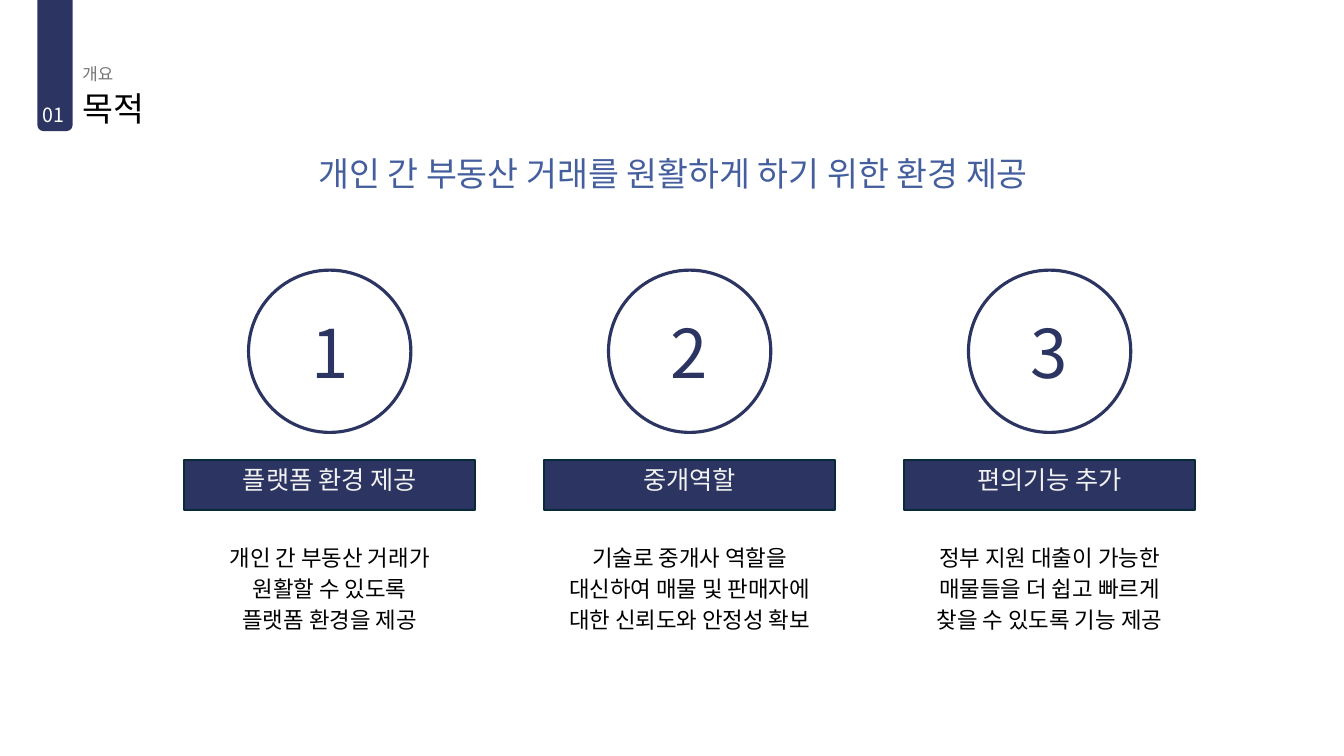
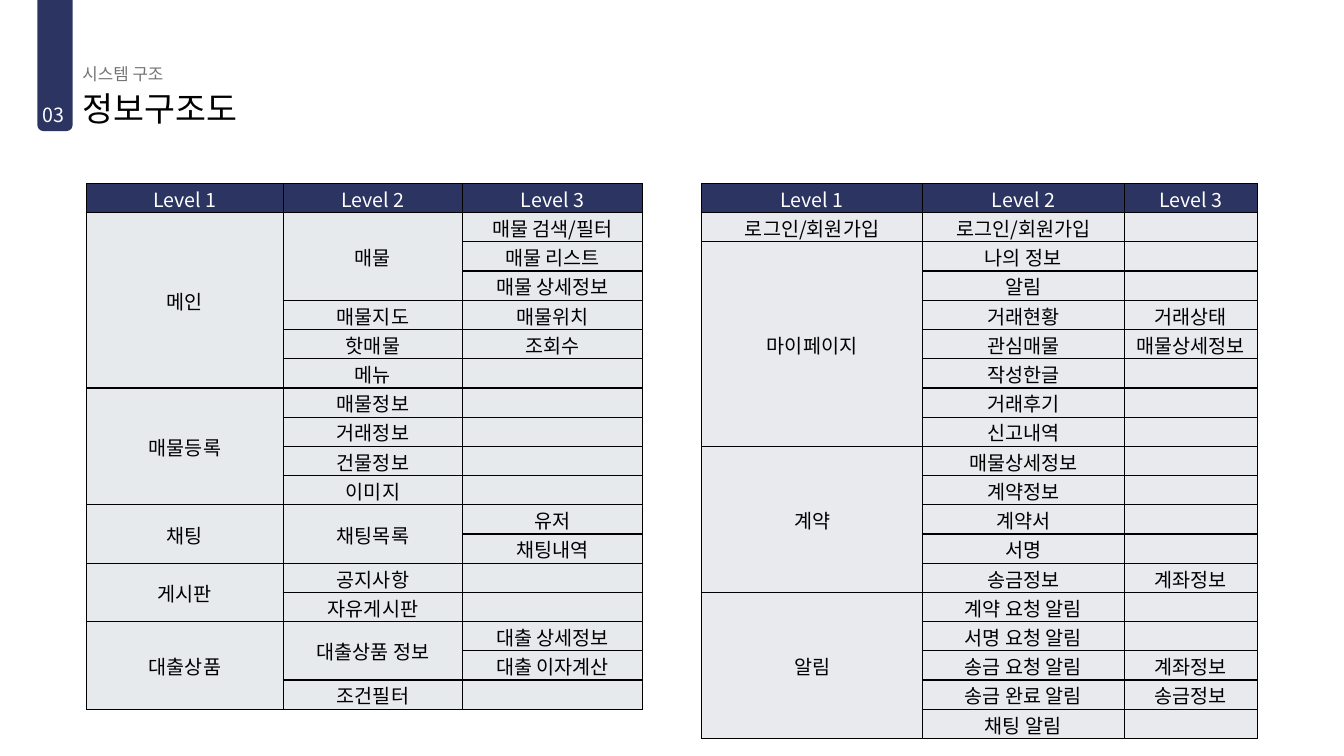
from lxml.etree import SubElement
from pptx import Presentation
from pptx.dml.color import RGBColor
from pptx.enum.shapes import MSO_SHAPE
from pptx.enum.text import MSO_ANCHOR, PP_ALIGN
from pptx.oxml.ns import qn
from pptx.util import Inches, Pt

FONT = "Noto Sans CJK KR"
NAVY, EDGE, BLUE = "2C3562", "092A39", "455F9E"
BLACK, WHITE, PALE, GRAY = "000000", "FFFFFF", "F2F2F2", "747474"
LEFT, MID = PP_ALIGN.LEFT, PP_ALIGN.CENTER

GOAL = "개인 간 부동산 거래를 원활하게 하기 위한 환경 제공"
AIMS = [
    ("플랫폼 환경 제공", ["개인 간 부동산 거래가", "원활할 수 있도록", "플랫폼 환경을 제공"]),
    ("중개역할", ["기술로 중개사 역할을 대신하여 매물 및 판매자에 대한 신뢰도와 안정성 확보"]),
    ("편의기능 추가", ["정부 지원 대출이 가능한 매물들을 더 쉽고 빠르게 찾을 수 있도록 기능 제공"]),
]
HEADS = ["Level 1", "Level 2", "Level 3"]
TABLES = [
    (0.86, [1.95, 1.78, 1.78], "E7EAED", {
        "메인": {
            "매물": ["매물 검색/필터", "매물 리스트", "매물 상세정보"],
            "매물지도": ["매물위치"], "핫매물": ["조회수"], "메뉴": [""],
        },
        "매물등록": {"매물정보": [""], "거래정보": [""], "건물정보": [""], "이미지": [""]},
        "채팅": {"채팅목록": ["유저", "채팅내역"]},
        "게시판": {"공지사항": [""], "자유게시판": [""]},
        "대출상품": {"대출상품 정보": ["대출 상세정보", "대출 이자계산"], "조건필터": [""]},
    }),
    (6.96, [2.19, 2, 1.32], "E8EAED", {
        "로그인/회원가입": {"로그인/회원가입": [""]},
        "마이페이지": {
            "나의 정보": [""], "알림": [""], "거래현황": ["거래상태"],
            "관심매물": ["매물상세정보"], "작성한글": [""], "거래후기": [""], "신고내역": [""],
        },
        "계약": {
            "매물상세정보": [""], "계약정보": [""], "계약서": [""], "서명": [""],
            "송금정보": ["계좌정보"],
        },
        "알림": {
            "계약 요청 알림": [""], "서명 요청 알림": [""], "송금 요청 알림": ["계좌정보"],
            "송금 완료 알림": ["송금정보"], "채팅 알림": [""],
        },
    }),
]


def tint(code):
    """Turn a hex string into a colour."""
    return RGBColor.from_string(code)


def write(frame, lines, size, color, align=LEFT, space=1.0):
    """Fill a text frame with evenly styled paragraphs."""
    frame.word_wrap = True
    frame.text = "\n".join(lines)
    for para in frame.paragraphs:
        para.alignment, para.line_spacing = align, space
        font = para.font
        font.name, font.size = FONT, Pt(size)
        font.color.rgb = tint(color)
        SubElement(para._p.pPr.find(qn("a:defRPr")), qn("a:ea"), typeface=FONT)


def label(slide, at, lines, size, color, align=LEFT, space=0.9):
    """Add a text box and return its frame."""
    frame = slide.shapes.add_textbox(*map(Inches, at)).text_frame
    write(frame, lines, size, color, align, space)
    return frame


def block(slide, kind, at, fill=None, line=None, width=0):
    """Add a flat preset shape."""
    shape = slide.shapes.add_shape(kind, *map(Inches, at))
    shape.shadow.inherit = False
    if fill:
        shape.fill.solid()
        shape.fill.fore_color.rgb = tint(fill)
    else:
        shape.fill.background()
    if line:
        shape.line.color.rgb = tint(line)
        shape.line.width = Pt(width)
    else:
        shape.line.fill.background()
    return shape


def start(deck, number, part, title):
    """Add a slide with the shared tab and titles."""
    slide = deck.slides.add_slide(deck.slide_layouts[6])
    tab = block(slide, MSO_SHAPE.ROUND_2_SAME_RECTANGLE, (0.37, 0, 0.35, 1.3), NAVY)
    tab.rotation = 180
    label(slide, (0.72, 0.87, 11.5, 0.52), [title], 24, BLACK)
    label(slide, (0.72, 0.61, 11.5, 0.24), [part], 12, GRAY)
    label(slide, (0.32, 1, 0.47, 0.24), [number], 14, WHITE)
    return slide


def column(slide, index, name, lines):
    """Draw one numbered aim."""
    center = 3.27 + 3.57 * index
    disc, bar, body = 1.61, 2.89, 2.6
    ring = block(slide, MSO_SHAPE.OVAL, (center - disc / 2, 2.68, disc, disc), None, NAVY, 2.25)
    write(ring.text_frame, [str(index + 1)], 48, NAVY, MID)
    ring.text_frame.vertical_anchor = MSO_ANCHOR.MIDDLE
    band = block(slide, MSO_SHAPE.RECTANGLE, (center - bar / 2, 4.56, bar, 0.5), NAVY, EDGE, 1.5)
    write(band.text_frame, [name], 18, PALE, MID)
    band.text_frame.vertical_anchor = MSO_ANCHOR.TOP
    frame = label(slide, (center - body / 2, 5.32, body, 0.99), lines, 16, BLACK, MID, 1.16)
    frame.vertical_anchor = MSO_ANCHOR.MIDDLE
    frame.margin_left = frame.margin_right = frame.margin_top = frame.margin_bottom = 0


def dress(cell, text, fill, color):
    """Write a cell and give it borders and a fill."""
    write(cell.text_frame, [text], 14, color, MID)
    if not text:
        SubElement(cell.text_frame.paragraphs[0]._p, qn("a:endParaRPr"), sz="1400")
    cell.vertical_anchor = MSO_ANCHOR.MIDDLE
    cell.margin_left = cell.margin_right = cell.margin_top = Inches(0.01)
    cell.margin_bottom = 0
    for side in "LRTB":
        edge = SubElement(cell._tc.get_or_add_tcPr(), qn("a:ln" + side), w=str(Pt(1)))
        SubElement(SubElement(edge, qn("a:solidFill")), qn("a:srgbClr"), val=BLACK)
    cell.fill.solid()
    cell.fill.fore_color.rgb = tint(fill)


def flatten(tree):
    """Return the rows of a tree and the spans to merge."""
    rows, spans = [HEADS], []
    for first, kids in tree.items():
        top = len(rows)
        for second, leaves in kids.items():
            head = len(rows)
            for leaf in leaves:
                row = len(rows)
                rows.append([first if row == top else "", second if row == head else "", leaf])
            spans.append((head, len(rows) - 1, 1))
        spans.append((top, len(rows) - 1, 0))
    return rows, spans


def chart_tree(slide, left, widths, fill, tree):
    """Draw a tree as a table with merged cells."""
    rows, spans = flatten(tree)
    high = 0.29
    at = (left, 1.82, sum(widths), high * len(rows))
    table = slide.shapes.add_table(len(rows), len(widths), *map(Inches, at)).table
    table.first_row = table.horz_banding = False
    for col, width in zip(table.columns, widths):
        col.width = Inches(width)
    for r, row in enumerate(rows):
        table.rows[r].height = Inches(high)
        for c, text in enumerate(row):
            dress(table.cell(r, c), text, fill if r else NAVY, BLACK if r else WHITE)
    for top, last, c in spans:
        if last > top:
            table.cell(top, c).merge(table.cell(last, c))


def main():
    """Build and save the deck."""
    deck = Presentation()
    deck.slide_width, deck.slide_height = Inches(13.33), Inches(7.5)
    slide = start(deck, "01", "개요", "목적")
    label(slide, (0.78, 1.51, 11.79, 0.52), [GOAL], 24, BLUE, MID)
    for index, (name, lines) in enumerate(AIMS):
        column(slide, index, name, lines)
    slide = start(deck, "03", "시스템 구조", "정보구조도")
    for item in TABLES:
        chart_tree(slide, *item)
    deck.save("out.pptx")


if __name__ == "__main__":
    main()
